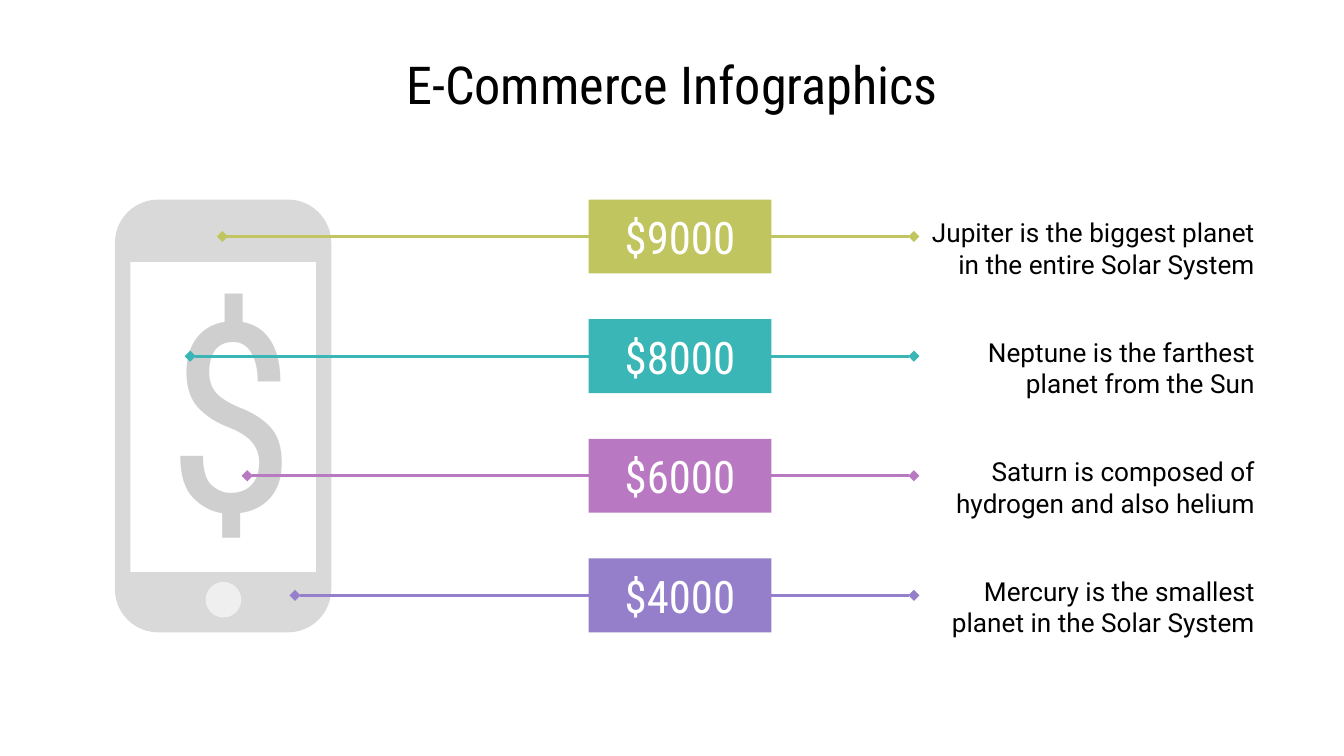
"""Build the e-commerce slide: a phone with four price lines."""
from lxml.etree import SubElement as Sub
from pptx import Presentation
from pptx.dml.color import RGBColor
from pptx.enum.shapes import MSO_CONNECTOR as Link, MSO_SHAPE as Kind
from pptx.enum.text import MSO_ANCHOR as Anchor, MSO_AUTO_SIZE as Fit, PP_ALIGN as Align
from pptx.oxml.ns import qn
from pptx.util import Emu, Pt

SCALE = 4572
HEAD, BODY = "Roboto Condensed", "Roboto"
TOP, STEP = 297, 178
ROWS = [
    ("$9000", "C0C55F", 331, "Jupiter is the biggest planet in the entire Solar System"),
    ("$8000", "39B6B5", 283, "Neptune is the farthest planet from the Sun"),
    ("$6000", "B878C2", 368, "Saturn is composed of hydrogen and also helium"),
    ("$4000", "957FCA", 439, "Mercury is the smallest planet in the Solar System"),
]


def px(*nums):
    """Turn px lengths into EMU."""
    return [Emu(n * SCALE) for n in nums]


def paint(form, color):
    """Give a fill or font colour its hex value."""
    form.rgb = RGBColor.from_string(color)


def write(shape, text, size, face, color, align, anchor=Anchor.MIDDLE):
    """Put one formatted paragraph in a shape."""
    frame = shape.text_frame
    frame.text = text
    frame.word_wrap = True
    frame.auto_size = Fit.NONE
    frame.vertical_anchor = anchor
    frame.margin_left, frame.margin_top, frame.margin_right, frame.margin_bottom = px(20, 20, 20, 20)
    para = frame.paragraphs[0]
    para.alignment = align
    para.font.size = Pt(size)
    para.font.name = face
    paint(para.font.color, color)


def add_box(slide, kind, box, color):
    """Add a flat preset shape without outline."""
    shape = slide.shapes.add_shape(kind, *px(*box))
    shape.shadow.inherit = False
    shape.fill.solid()
    paint(shape.fill.fore_color, color)
    shape.line.fill.background()
    return shape


def add_label(slide, box, *style):
    """Add a text box."""
    write(slide.shapes.add_textbox(*px(*box)), *style)


def add_line(slide, left, right, y, color):
    """Add a level line with a diamond at each end."""
    link = slide.shapes.add_connector(Link.STRAIGHT, *px(left, y, right, y))
    link.line.width = Pt(1.5)
    paint(link.line.color, color)
    props = link._element.spPr
    edge = props.find(qn("a:ln"))
    for end in ("a:headEnd", "a:tailEnd"):
        Sub(edge, qn(end), type="diamond")
    Sub(props, qn("a:effectLst"))


def add_title(slide, text):
    """Move and fill the title placeholder."""
    title = slide.shapes.title
    title.left, title.top, title.width, title.height = px(550, 90, 900, 70)
    write(title, text, 28, HEAD, "000000", Align.CENTER)


def add_phone(slide):
    """Draw the phone with its screen, dollar sign and button."""
    case = add_box(slide, Kind.ROUNDED_RECTANGLE, (171, TOP, 322, 644), "D9D9D9")
    case.adjustments[0] = 0.2
    add_box(slide, Kind.RECTANGLE, (194, 390, 276, 461), "FFFFFF")
    add_label(slide, (228, 350, 186, 462), "$", 141, HEAD, "CFCFCF", Align.LEFT, Anchor.TOP)
    add_box(slide, Kind.OVAL, (306, 866, 53, 53), "EFEFEF")


def add_row(slide, top, price, color, start, note):
    """Draw one line with its price and note."""
    add_line(slide, start, 1360, top + 55, color)
    tag = add_box(slide, Kind.RECTANGLE, (876, top, 272, 110), color)
    write(tag, price, 24, HEAD, "FFFFFF", Align.CENTER)
    add_label(slide, (1349, top + 14, 538, 116), note, 14, BODY, "000000", Align.RIGHT)


def main():
    """Build and save the slide."""
    deck = Presentation()
    deck.slide_width, deck.slide_height = px(2000, 1125)
    slide = deck.slides.add_slide(deck.slide_layouts[5])
    add_phone(slide)
    add_title(slide, "E-Commerce Infographics")
    for i, row in enumerate(ROWS):
        add_row(slide, TOP + i * STEP, *row)
    deck.save("out.pptx")


if __name__ == "__main__":
    main()
